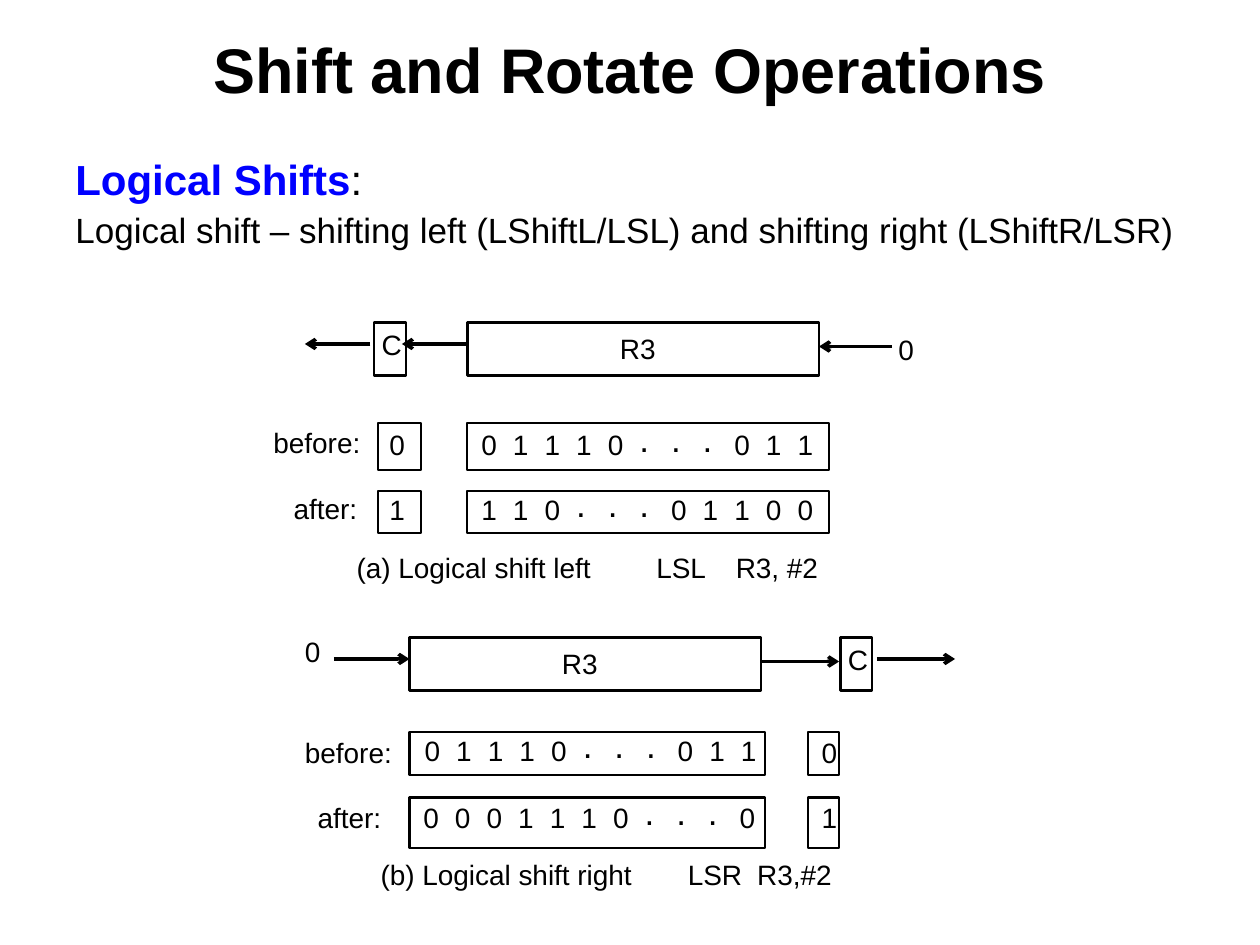
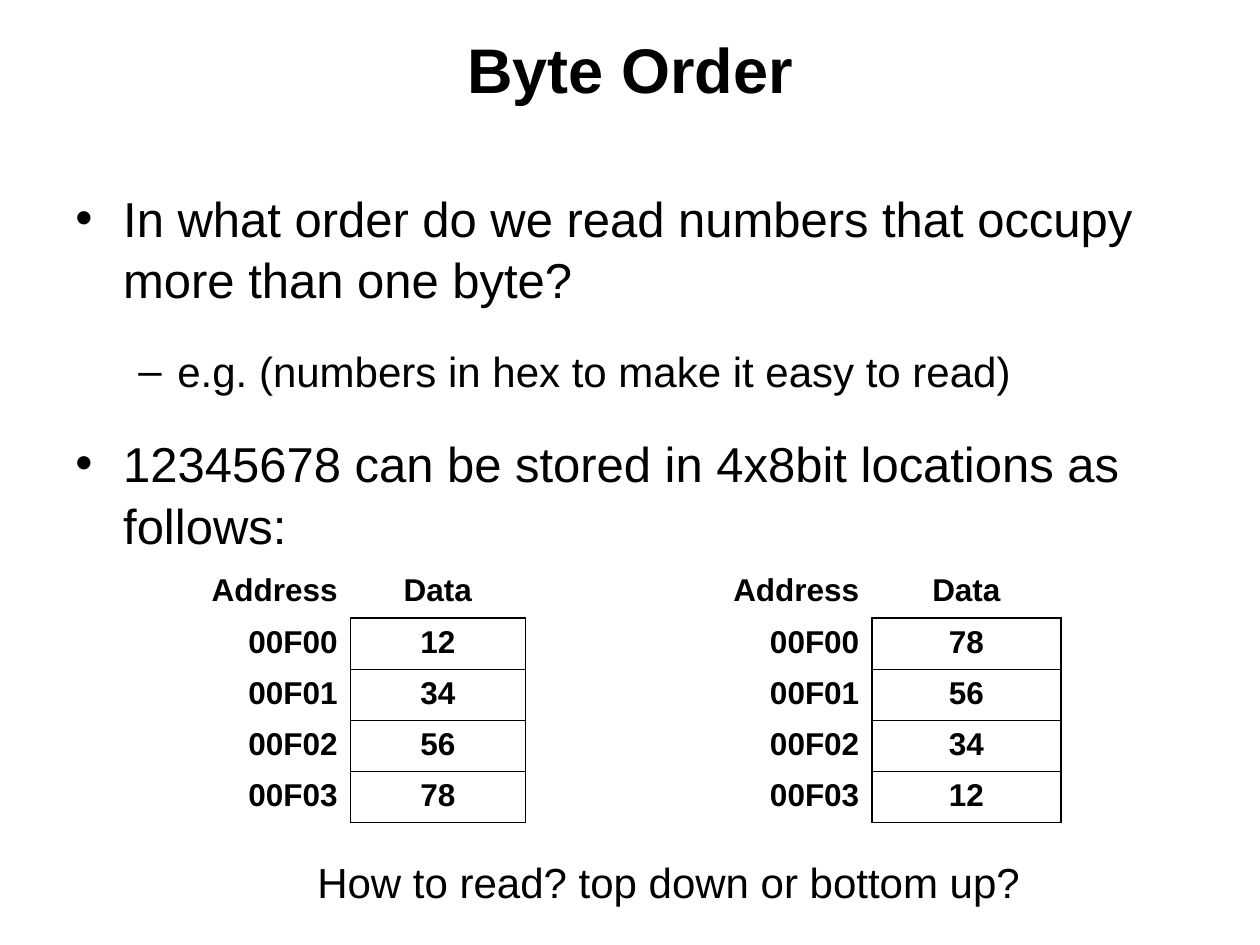
from dataclasses import dataclass

from lxml import etree
from pptx import Presentation
from pptx.dml.color import RGBColor
from pptx.enum.shapes import MSO_CONNECTOR, MSO_SHAPE
from pptx.enum.text import MSO_ANCHOR, PP_ALIGN
from pptx.oxml.ns import qn
from pptx.util import Inches, Pt

BLACK = RGBColor(0x00, 0x00, 0x00)
BLUE = RGBColor(0x00, 0x00, 0xFF)
FONT = "Arial"
LEFT, CENTER, RIGHT = PP_ALIGN.LEFT, PP_ALIGN.CENTER, PP_ALIGN.RIGHT
MIDDLE = MSO_ANCHOR.MIDDLE
RECT = MSO_SHAPE.RECTANGLE
STRAIGHT = MSO_CONNECTOR.STRAIGHT
BIT_PITCH = 0.251
DOT_RISE = 0.08


@dataclass
class Label:
    text: str
    x: float
    y: float
    w: float
    h: float = 0.27
    size: float = 16
    tab: float = 0


@dataclass
class Box:
    x: float
    y: float
    w: float
    h: float


@dataclass
class Arrow:
    x1: float
    x2: float
    y: float


@dataclass
class BitRow:
    bits: str
    x: float
    y: float


@dataclass
class Bullet:
    text: str
    mark: str
    size: float
    margin: float
    hang: float
    level: int = 0


def add_run(p, text: str, size: float, bold: bool = False, color: RGBColor = BLACK) -> None:
    r = p.add_run()
    r.text = text
    r.font.name = FONT
    r.font.size = Pt(size)
    r.font.bold = bold
    r.font.color.rgb = color


def add_frame(s, x: float, y: float, w: float, h: float, wrap: bool = True):
    sp = s.shapes.add_textbox(Inches(x), Inches(y), Inches(w), Inches(h))
    sp.text_frame.word_wrap = wrap
    return sp.text_frame


def add_title(s, text: str) -> None:
    tf = add_frame(s, 0.5, 0.17, 9, 0.75)
    tf.vertical_anchor = MIDDLE
    p = tf.paragraphs[0]
    p.alignment = CENTER
    add_run(p, text, 36, True)


def add_label(s, label: Label) -> None:
    tf = add_frame(s, label.x, label.y, label.w, label.h, False)
    tf.margin_left = tf.margin_right = tf.margin_top = tf.margin_bottom = 0
    p = tf.paragraphs[0]
    if label.tab:
        tabs = etree.SubElement(p._p.get_or_add_pPr(), qn("a:tabLst"))
        etree.SubElement(tabs, qn("a:tab"), pos=str(Inches(label.tab)), algn="l")
    add_run(p, label.text, label.size)


def add_bits(s, row: BitRow) -> None:
    for i, bit in enumerate(row.bits):
        x = row.x + i * BIT_PITCH
        if bit == ".":
            add_label(s, Label(bit, x, row.y - DOT_RISE, 0.08, 0.34, 20))
        else:
            add_label(s, Label(bit, x, row.y, 0.12))


def add_box(s, box: Box) -> None:
    sp = s.shapes.add_shape(RECT, Inches(box.x), Inches(box.y), Inches(box.w), Inches(box.h))
    sp.shadow.inherit = False
    sp.fill.background()
    sp.line.color.rgb = BLACK
    sp.line.width = Pt(1.25)


def add_arrow(s, arrow: Arrow) -> None:
    y = Inches(arrow.y)
    cx = s.shapes.add_connector(STRAIGHT, Inches(arrow.x1), y, Inches(arrow.x2), y)
    cx.line.color.rgb = BLACK
    cx.line.width = Pt(2)
    etree.SubElement(cx.line._get_or_add_ln(), qn("a:tailEnd"), type="arrow")
    etree.SubElement(cx._element.spPr, qn("a:effectLst"))


def add_bullet(p, bullet: Bullet) -> None:
    p.level = bullet.level
    p.space_before = Pt(19.7)
    p.line_spacing = 1.05
    pPr = p._p.get_or_add_pPr()
    pPr.set("marL", str(Inches(bullet.margin)))
    pPr.set("indent", str(-Inches(bullet.hang)))
    etree.SubElement(pPr, qn("a:buFont"), typeface=FONT)
    etree.SubElement(pPr, qn("a:buChar"), char=bullet.mark)
    add_run(p, bullet.text, bullet.size)


def set_borders(cell, sides: str) -> None:
    tcPr = cell._tc.get_or_add_tcPr()
    for i, side in enumerate("LRTB"):
        ln = etree.Element(qn(f"a:ln{side}"), w=str(Pt(1)))
        if side in sides:
            fill = etree.SubElement(ln, qn("a:solidFill"))
            etree.SubElement(fill, qn("a:srgbClr"), val=str(BLACK))
        else:
            etree.SubElement(ln, qn("a:noFill"))
        tcPr.insert(i, ln)


def cell_sides(row: int, col: int) -> str:
    if col % 2:
        return "LRTB" if row else "B"
    if row == 0:
        return ""
    return "LR" if col else "R"


def add_memory_table(s, rows: list[list[str]], widths: list[float]) -> None:
    height = 2.03
    frame = s.shapes.add_table(len(rows), len(widths), Inches(1.25), Inches(4.5),
                               Inches(sum(widths)), Inches(height))
    table = frame.table
    table.first_row = table.horz_banding = False
    for col, width in zip(table.columns, widths):
        col.width = Inches(width)
    for i, row in enumerate(rows):
        table.rows[i].height = Inches(height / len(rows))
        for j, text in enumerate(row):
            cell = table.cell(i, j)
            cell.fill.background()
            set_borders(cell, cell_sides(i, j))
            p = cell.text_frame.paragraphs[0]
            p.alignment = CENTER if j % 2 else RIGHT
            add_run(p, text, 18, True)


def build_shifts(s) -> None:
    add_title(s, "Shift and Rotate Operations")
    p = add_frame(s, 0.5, 1.17, 2.5, 0.5, False).paragraphs[0]
    add_run(p, "Logical Shifts", 24, True, BLUE)
    add_run(p, ":", 24)
    p = add_frame(s, 0.5, 1.67, 9.17, 0.38).paragraphs[0]
    p.line_spacing = 0.8
    add_run(p, "Logical shift – shifting left (LShiftL/LSL) and shifting right (LShiftR/LSR)", 20)

    boxes = [
        Box(2.97, 2.56, 0.25, 0.42), Box(3.71, 2.56, 2.79, 0.42),
        Box(3, 3.36, 0.34, 0.37), Box(3.71, 3.36, 2.87, 0.37),
        Box(3, 3.9, 0.34, 0.33), Box(3.71, 3.9, 2.87, 0.33),
        Box(3.25, 5.06, 2.79, 0.42), Box(6.67, 5.06, 0.25, 0.42),
        Box(3.25, 5.81, 2.82, 0.34), Box(6.41, 5.81, 0.25, 0.34),
        Box(3.25, 6.33, 2.82, 0.4), Box(6.41, 6.33, 0.25, 0.4),
    ]
    labels = [
        Label("C", 3.03, 2.6, 0.16), Label("R3", 4.92, 2.63, 0.29), Label("0", 7.13, 2.64, 0.12),
        Label("before:", 2.17, 3.38, 0.7), Label("0", 3.09, 3.39, 0.12),
        Label("after:", 2.33, 3.9, 0.51), Label("1", 3.09, 3.91, 0.12),
        Label("(a) Logical shift left", 2.83, 4.37, 1.88),
        Label("LSL\tR3, #2", 5.21, 4.37, 1.3, tab=0.63),
        Label("0", 2.42, 5.04, 0.12), Label("R3", 4.46, 5.13, 0.29), Label("C", 6.73, 5.1, 0.16),
        Label("before:", 2.42, 5.84, 0.7), Label("0", 6.52, 5.84, 0.12),
        Label("after:", 2.52, 6.35, 0.51), Label("1", 6.52, 6.35, 0.12),
        Label("(b) Logical shift right", 3.02, 6.81, 2.02),
        Label("LSR\tR3,#2", 5.46, 6.81, 1.16, tab=0.55),
    ]
    bit_rows = [
        BitRow("01110...011", 3.82, 3.39), BitRow("110...01100", 3.82, 3.91),
        BitRow("01110...011", 3.37, 5.82), BitRow("0001110...0", 3.36, 6.35),
    ]
    arrows = [
        Arrow(7.08, 6.5, 2.75), Arrow(3.72, 3.19, 2.73), Arrow(2.94, 2.42, 2.73),
        Arrow(2.65, 3.25, 5.23), Arrow(6.04, 6.66, 5.25), Arrow(6.96, 7.58, 5.23),
    ]
    for draw, items in ((add_box, boxes), (add_label, labels),
                        (add_bits, bit_rows), (add_arrow, arrows)):
        for item in items:
            draw(s, item)


def build_byte_order(s) -> None:
    add_title(s, "Byte Order")
    bullets = [
        Bullet("In what order do we read numbers that occupy more than one byte?", "•", 28, 0.38, 0.38),
        Bullet("e.g. (numbers in hex to make it easy to read)", "–", 24, 0.81, 0.31, 1),
        Bullet("12345678 can be stored in 4x8bit locations as follows:", "•", 28, 0.38, 0.38),
    ]
    tf = add_frame(s, 0.5, 1.42, 9, 3.17)
    for i, bullet in enumerate(bullets):
        add_bullet(tf.add_paragraph() if i else tf.paragraphs[0], bullet)

    data = ["12", "34", "56", "78"]
    rows = [["Address", "Data"] * 2]
    for i, (big, little) in enumerate(zip(data, reversed(data))):
        address = f"00F{i:02}"
        rows.append([address, big, address, little])
    add_memory_table(s, rows, [1.53, 1.39, 2.75, 1.5])

    p = add_frame(s, 2.42, 6.75, 6.17, 0.5).paragraphs[0]
    p.alignment = LEFT
    add_run(p, "How to read? top down or bottom up?", 24)


prs = Presentation()
prs.slide_width, prs.slide_height = Inches(10), Inches(7.5)
for build in (build_shifts, build_byte_order):
    build(prs.slides.add_slide(prs.slide_layouts[6]))
prs.save("out.pptx")
